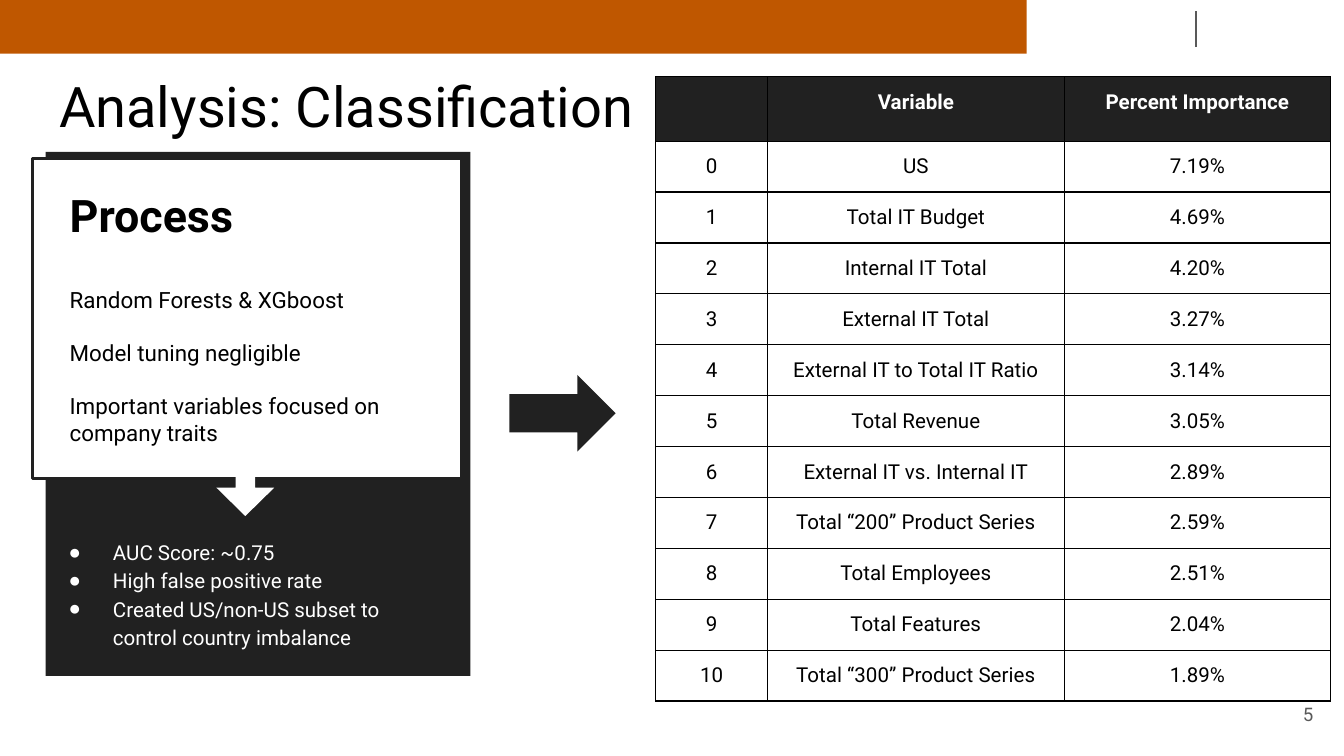
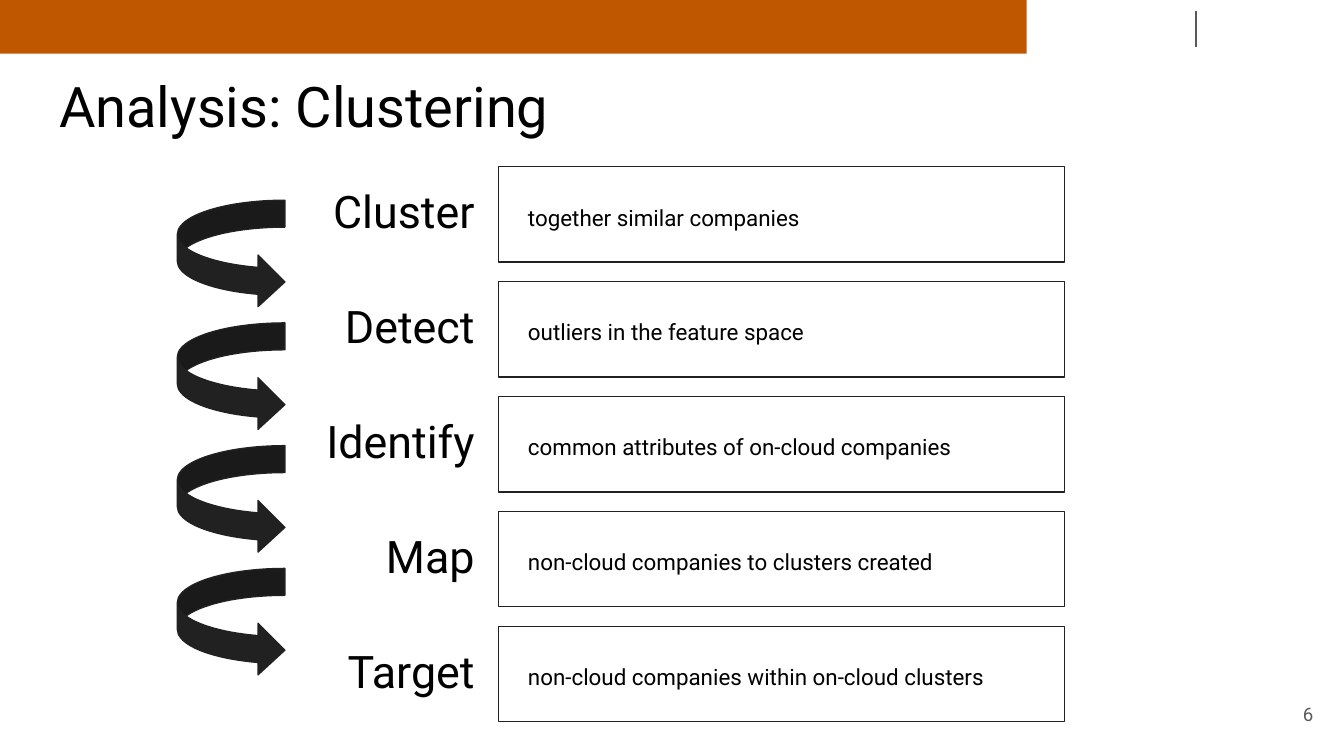
import pptx
import pptx.dml.color
import pptx.enum.shapes
import pptx.enum.text
import pptx.oxml
import pptx.oxml.ns
import pptx.util
import lxml.etree

Inches = pptx.util.Inches
Pt = pptx.util.Pt
RGBColor = pptx.dml.color.RGBColor
MSO_SHAPE = pptx.enum.shapes.MSO_SHAPE
ALIGN = pptx.enum.text.PP_ALIGN
ANCHOR = pptx.enum.text.MSO_ANCHOR
qn = pptx.oxml.ns.qn


class Theme:
    font = "Roboto"
    orange = RGBColor.from_string("BF5700")
    dark = RGBColor.from_string("212121")
    gray = RGBColor.from_string("595959")
    black = RGBColor.from_string("000000")
    white = RGBColor.from_string("FFFFFF")
    title_size = 30
    heading_size = 24
    body_size = 12
    small_size = 11
    number_size = 10
    hairline = 0.75


def add_block(slide, preset, box, fill=None, line=None, line_width=Theme.hairline):
    shape = slide.shapes.add_shape(preset, *map(Inches, box))
    shape.shadow.inherit = False
    if fill is None:
        shape.fill.background()
    else:
        shape.fill.solid()
        shape.fill.fore_color.rgb = fill
    if line is None:
        shape.line.fill.background()
    else:
        shape.line.color.rgb = line
        shape.line.width = Pt(line_width)
    return shape


def write_text(frame, text, size, color=Theme.black, bold=False, align=ALIGN.LEFT,
               anchor=ANCHOR.TOP, spacing=1.0, space_after=0, inset=0.1):
    frame.text = text
    frame.word_wrap = True
    frame.auto_size = pptx.enum.text.MSO_AUTO_SIZE.NONE
    frame.vertical_anchor = anchor
    frame.margin_left = frame.margin_right = Inches(0.1)
    frame.margin_top = frame.margin_bottom = Inches(inset)
    for paragraph in frame.paragraphs:
        paragraph.alignment = align
        paragraph.line_spacing = spacing
        paragraph.space_before = Pt(0)
        paragraph.space_after = Pt(space_after)
        for run in paragraph.runs:
            run.font.name = Theme.font
            run.font.size = Pt(size)
            run.font.bold = bold
            run.font.color.rgb = color


presentation = pptx.Presentation()
presentation.slide_width = Inches(10)
presentation.slide_height = Inches(10 * 9 / 16)

slides = []
for number, title, layout in [(5, "Analysis: Classification", 1), (6, "Analysis: Clustering", 5)]:
    slide = presentation.slides.add_slide(presentation.slide_layouts[layout])
    slides.append(slide)
    heading = slide.shapes.title
    heading.left, heading.top, heading.width, heading.height = map(Inches, (0.34, 0.43, 9.32, 0.8))
    write_text(heading.text_frame, title, Theme.title_size)

    divider = slide.shapes.add_connector(
        pptx.enum.shapes.MSO_CONNECTOR.STRAIGHT, *map(Inches, (8.9, 0.35, 8.9, 0.08)))
    divider.line.color.rgb = Theme.gray
    divider.line.width = Pt(Theme.hairline)
    lxml.etree.SubElement(divider.element.spPr, qn("a:effectLst"))

    page_number = slide.shapes.add_textbox(*map(Inches, (9.27, 5.1, 0.6, 0.43)))
    write_text(page_number.text_frame, str(number), Theme.number_size, Theme.gray,
               align=ALIGN.RIGHT, anchor=ANCHOR.MIDDLE)

classification, clustering = slides

band = add_block(classification, MSO_SHAPE.RECTANGLE, (0, 0, 7.64, 0.4), Theme.orange)
band.element.nvSpPr.cNvPr.set("id", "20")
presentation.slide_master.shapes.element.insert(2, band.element)

add_block(classification, MSO_SHAPE.RECTANGLE, (0.34, 1.13, 3.16, 3.9), Theme.dark)
add_block(classification, MSO_SHAPE.RECTANGLE, (0.24, 1.18, 3.19, 2.38),
          Theme.white, Theme.dark, 1.5)

process_steps = classification.shapes.add_textbox(*map(Inches, (0.42, 2.03, 2.83, 1.4)))
write_text(process_steps.text_frame,
           "Random Forests & XGboost\n"
           "Model tuning negligible\n"
           "Important variables focused on company traits",
           Theme.body_size, space_after=14)

process_heading = classification.shapes.add_textbox(*map(Inches, (0.42, 1.3, 2.83, 0.65)))
write_text(process_heading.text_frame, "Process", Theme.heading_size, bold=True)

down_arrow = add_block(classification, MSO_SHAPE.RIGHT_ARROW, (1.64, 3.44, 0.37, 0.43), Theme.white)
down_arrow.rotation = 90
down_arrow.adjustments[0] = 0.34
down_arrow.adjustments[1] = 0.57

results = classification.placeholders[1]
results.left, results.top, results.width, results.height = map(Inches, (0.24, 3.89, 3.16, 1.04))
write_text(results.text_frame,
           "AUC Score: ~0.75\n"
           "High false positive rate\n"
           "Created US/non-US subset to control country imbalance",
           Theme.small_size, Theme.white, spacing=1.15)
for paragraph in results.text_frame.paragraphs:
    properties = paragraph._p.get_or_add_pPr()
    properties.set("marL", str(Inches(0.5)))
    properties.set("indent", str(Inches(-0.33)))
    bullet_color = lxml.etree.SubElement(properties, qn("a:buClr"))
    lxml.etree.SubElement(bullet_color, qn("a:srgbClr"), val=str(Theme.white))
    lxml.etree.SubElement(properties, qn("a:buChar"), char="●")
classification.shapes.element.append(results.element)

add_block(classification, MSO_SHAPE.RIGHT_ARROW, (3.79, 2.79, 0.79, 0.57), Theme.dark)

importance = [
    ("US", "7.19%"),
    ("Total IT Budget", "4.69%"),
    ("Internal IT Total", "4.20%"),
    ("External IT Total", "3.27%"),
    ("External IT to Total IT Ratio", "3.14%"),
    ("Total Revenue", "3.05%"),
    ("External IT vs. Internal IT", "2.89%"),
    ("Total “200” Product Series", "2.59%"),
    ("Total Employees", "2.51%"),
    ("Total Features", "2.04%"),
    ("Total “300” Product Series", "1.89%"),
]
table_rows = [("", "Variable", "Percent Importance")]
table_rows += [(str(rank), *entry) for rank, entry in enumerate(importance)]
table = classification.shapes.add_table(
    len(table_rows), 3, *map(Inches, (4.88, 0.57, 5.02, 4.64))).table
for column, width in zip(table.columns, (0.83, 2.21, 1.98)):
    column.width = Inches(width)
for row_index, texts in enumerate(table_rows):
    is_header = row_index == 0
    table.rows[row_index].height = Inches(0.48 if is_header else 4.16 / len(importance))
    for column_index, text in enumerate(texts):
        cell = table.cell(row_index, column_index)
        write_text(cell.text_frame, text, Theme.small_size,
                   Theme.white if is_header else Theme.black, is_header, ALIGN.CENTER)
        if not text:
            end_properties = cell.text_frame.paragraphs[0]._p.get_or_add_endParaRPr()
            end_properties.set("sz", str(Theme.small_size * 100))
        cell.margin_left = cell.margin_right = Inches(0.1)
        cell.margin_top = cell.margin_bottom = Inches(0.1)
        cell.vertical_anchor = ANCHOR.TOP
        properties = cell._tc.get_or_add_tcPr()
        for side in ("a:lnL", "a:lnR", "a:lnT", "a:lnB"):
            border = lxml.etree.SubElement(properties, qn(side), w=str(Pt(Theme.hairline)))
            border_fill = lxml.etree.SubElement(border, qn("a:solidFill"))
            lxml.etree.SubElement(border_fill, qn("a:srgbClr"), val=str(Theme.black))
        if is_header:
            cell.fill.solid()
            cell.fill.fore_color.rgb = Theme.dark
        else:
            cell.fill.background()

steps = [
    ("Cluster", "together similar companies"),
    ("Detect", "outliers in the feature space"),
    ("Identify", "common attributes of on-cloud companies"),
    ("Map", "non-cloud companies to clusters created"),
    ("Target", "non-cloud companies within on-cloud clusters"),
]
step_pitch = (4.66 - 1.24) / (len(steps) - 1)
for index, (verb, description) in enumerate(steps):
    top = 1.24 + index * step_pitch
    add_block(clustering, MSO_SHAPE.RECTANGLE, (3.71, top, 4.21, 0.71), line=Theme.dark)
    label = clustering.shapes.add_textbox(*map(Inches, (1.43, top + 0.05, 2.2, 0.61)))
    write_text(label.text_frame, verb, Theme.heading_size, align=ALIGN.RIGHT,
               anchor=ANCHOR.MIDDLE, spacing=0.9, inset=0.05)
    detail = clustering.shapes.add_textbox(*map(Inches, (3.83, top + 0.2, 3.92, 0.32)))
    write_text(detail.text_frame, description, Theme.body_size,
               anchor=ANCHOR.MIDDLE, spacing=1.15, inset=0.05)

arrow_count = len(steps) - 1
arrow_pitch = (4.23 - 1.49) / (arrow_count - 1)
for index in range(arrow_count):
    arrow = add_block(clustering, MSO_SHAPE.CURVED_RIGHT_ARROW,
                      (1.32, 1.49 + index * arrow_pitch, 0.8, 0.8), Theme.dark, Theme.dark)
    for position, value in enumerate((0.25, 0.48, 0.25)):
        arrow.adjustments[position] = value

presentation.save("out.pptx")
